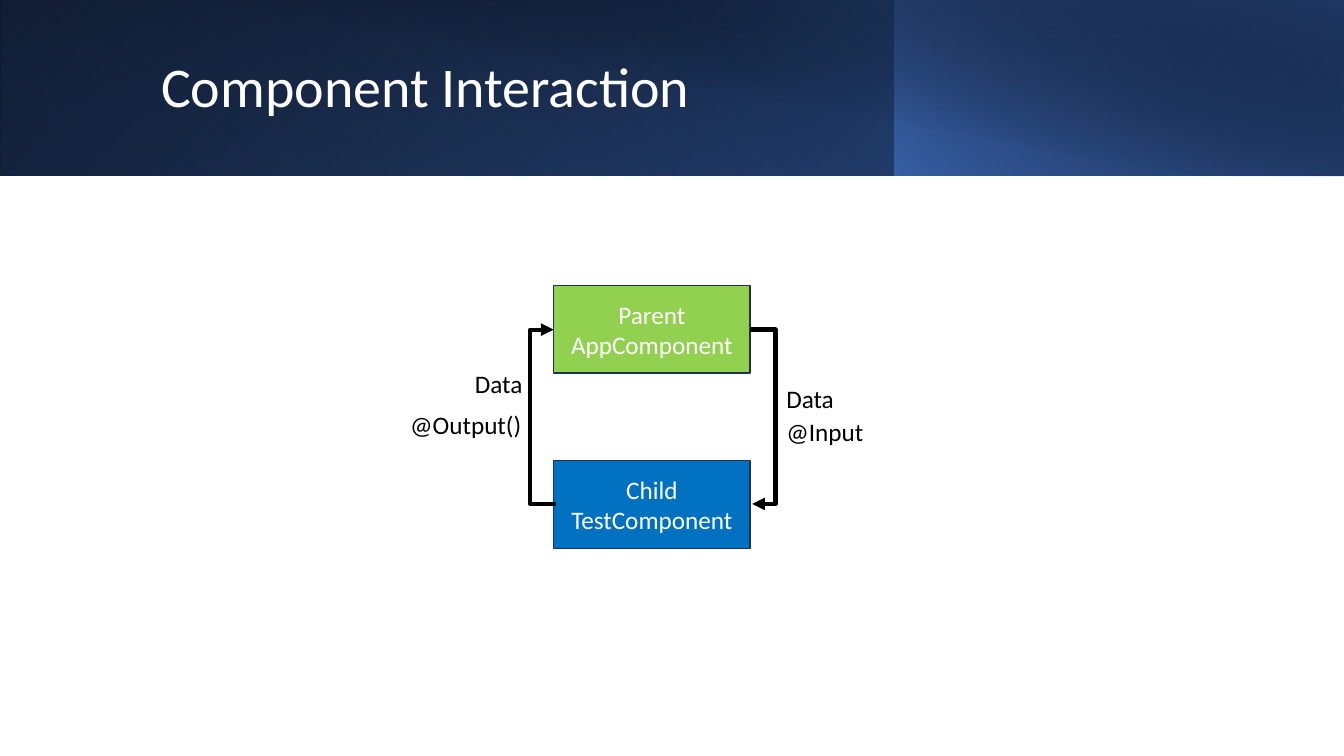
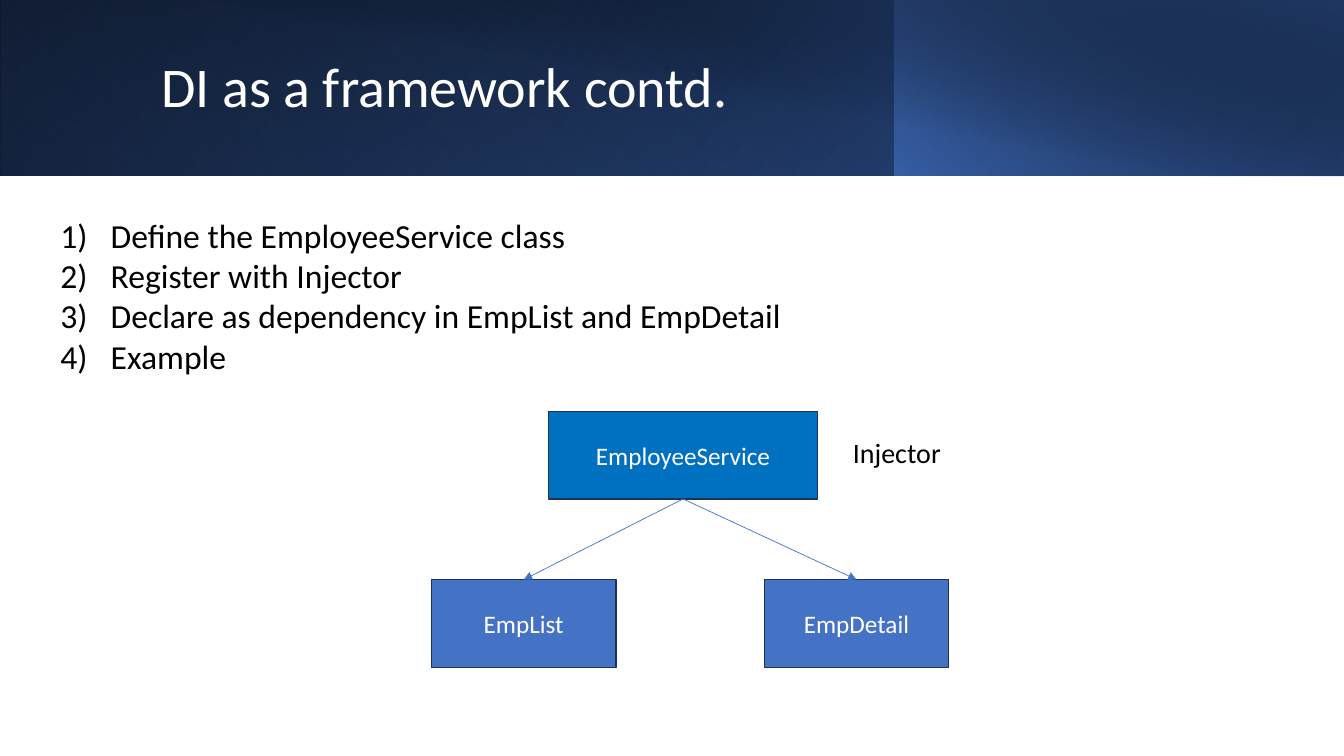
from dataclasses import dataclass

from lxml import etree
from pptx import Presentation
from pptx import util as u
from pptx.dml.color import RGBColor
from pptx.enum import shapes, text
from pptx.oxml.ns import qn


@dataclass(frozen=True)
class Theme:
    font: str = "Calibri"
    white: str = "FFFFFF"
    black: str = "000000"
    green: str = "92D050"
    blue: str = "0070C0"
    accent: str = "4472C4"
    accent_dark: str = "2F5597"
    navy: str = "203864"
    outline: str = "1E3256"
    title: int = 40
    listing: int = 24
    caption: int = 20
    label: int = 18


theme = Theme()


def add_text(page, words, at, size=theme.label, color=theme.black, fill=None,
             align=text.PP_ALIGN.LEFT, anchor=text.MSO_ANCHOR.TOP,
             spacing=None, numbered=False):
    place = [u.Inches(value) for value in at]
    if fill:
        box = page.shapes.add_shape(shapes.MSO_SHAPE.RECTANGLE, *place)
        box.shadow.inherit = False
        box.fill.solid()
        box.fill.fore_color.rgb = RGBColor.from_string(fill)
        box.line.color.rgb = RGBColor.from_string(theme.outline)
        box.line.width = u.Pt(1)
    else:
        box = page.shapes.add_textbox(*place)
    frame = box.text_frame
    frame.word_wrap = True
    frame.vertical_anchor = anchor
    for index, line in enumerate(words.split("\n")):
        para = frame.paragraphs[0] if index == 0 else frame.add_paragraph()
        para.alignment = align
        if spacing:
            para.line_spacing = spacing
        if numbered:
            properties = para._p.get_or_add_pPr()
            properties.set("marL", str(u.Inches(0.5)))
            properties.set("indent", str(u.Inches(-0.5)))
            etree.SubElement(properties, qn("a:buFont"), typeface="+mj-lt")
            etree.SubElement(properties, qn("a:buAutoNum"), type="arabicParenR")
        span = para.add_run()
        span.text = line
        span.font.name = theme.font
        span.font.size = u.Pt(size)
        span.font.color.rgb = RGBColor.from_string(color)
    return box


def add_arrow(page, kind, ends, color, width):
    arrow = page.shapes.add_connector(kind, *[u.Inches(value) for value in ends])
    arrow.line.color.rgb = RGBColor.from_string(color)
    arrow.line.width = u.Pt(width)
    properties = arrow._element.spPr
    etree.SubElement(properties.find(qn("a:ln")), qn("a:tailEnd"), type="triangle")
    etree.SubElement(properties, qn("a:effectLst"))
    return arrow


deck = Presentation()
deck.slide_width = u.Inches(13.33)
deck.slide_height = u.Inches(7.5)

bands = [
    ((0, 0, 13.33, 1.74), True, 0, 140,
     [(0, theme.black, 100), (100, theme.accent_dark, 100)]),
    ((0, 0, 8.88, 1.74), True, 180, 230,
     [(20, theme.accent, 0), (100, theme.navy, 55)]),
    ((8.87, 0, 4.46, 1.74), True, 0, 220,
     [(0, theme.accent, 66), (100, theme.black, 30)]),
    ((0.5, 0, 12.83, 1.75), False, 0, 280,
     [(50, theme.black, 0), (99, theme.navy, 52)]),
]
pages = []
for title in ["Component Interaction", "DI as a framework contd."]:
    page = deck.slides.add_slide(deck.slide_layouts[6])
    pages.append(page)
    for at, mirrored, rotation, angle, stops in bands:
        band = page.shapes.add_shape(
            shapes.MSO_SHAPE.RECTANGLE, *[u.Inches(value) for value in at])
        band.shadow.inherit = False
        band.line.fill.background()
        band.rotation = rotation
        if mirrored:
            band._element.spPr.find(qn("a:xfrm")).set("flipH", "1")
        band.fill.gradient()
        band.fill.gradient_angle = 360 - angle
        for stop, (position, color, opacity) in zip(band.fill.gradient_stops, stops):
            stop.position = position / 100
            stop.color.rgb = RGBColor.from_string(color)
        tints = band._element.spPr.iter(qn("a:srgbClr"))
        for tint, (position, color, opacity) in zip(tints, stops):
            if opacity < 100:
                etree.SubElement(tint, qn("a:alpha"), val=str(opacity * 1000))
    add_text(page, title, (1.5, 0.32, 10.82, 1.13), size=theme.title,
             color=theme.white, anchor=text.MSO_ANCHOR.MIDDLE, spacing=0.9)

interaction, framework = pages
node = dict(color=theme.white, align=text.PP_ALIGN.CENTER,
            anchor=text.MSO_ANCHOR.MIDDLE)

add_text(interaction, "Parent AppComponent", (5.49, 2.83, 1.95, 0.87),
         fill=theme.green, **node)
add_text(interaction, "Child TestComponent", (5.49, 4.57, 1.95, 0.87),
         fill=theme.blue, **node)
for left, rotation in [(5.49, 180), (7.44, 0)]:
    elbow = add_arrow(interaction, shapes.MSO_CONNECTOR.ELBOW,
                      (left, 3.27, left + 0.02, 5), theme.black, 3)
    elbow._element.spPr.find(qn("a:xfrm")).set("rot", str(rotation * 60000))
    guides = elbow._element.spPr.find(qn("a:prstGeom")).get_or_add_avLst()
    etree.SubElement(guides, qn("a:gd"), name="adj1", fmla="val 1250000")
for words, at, align in [
    ("@Output()", (3.97, 4.01, 1.35, 0.4), text.PP_ALIGN.LEFT),
    ("@Input", (7.7, 4.08, 1.68, 0.4), text.PP_ALIGN.LEFT),
    ("Data", (3.93, 3.61, 1.35, 0.4), text.PP_ALIGN.RIGHT),
    ("Data", (7.7, 3.75, 1.35, 0.4), text.PP_ALIGN.LEFT),
]:
    add_text(interaction, words, at, align=align)

steps = [
    "Define the EmployeeService class",
    "Register with Injector",
    "Declare as dependency in EmpList and EmpDetail",
    "Example",
]
add_text(framework, "\n".join(steps), (0.5, 2.08, 8.24, 1.72),
         size=theme.listing, numbered=True)
service = add_text(framework, "EmployeeService", (5.44, 4.08, 2.67, 0.87),
                   fill=theme.blue, **node)
for name, left in [("EmpList", 4.28), ("EmpDetail", 7.58)]:
    consumer = add_text(framework, name, (left, 5.75, 1.83, 0.87),
                        fill=theme.accent, **node)
    arrow = add_arrow(framework, shapes.MSO_CONNECTOR.STRAIGHT,
                      (6.78, 4.95, left + 0.92, 5.75), theme.accent, 0.5)
    arrow.begin_connect(service, 2)
    arrow.end_connect(consumer, 0)
add_text(framework, "Injector", (8.36, 4.27, 2.48, 0.44), size=theme.caption)

deck.save("out.pptx")
